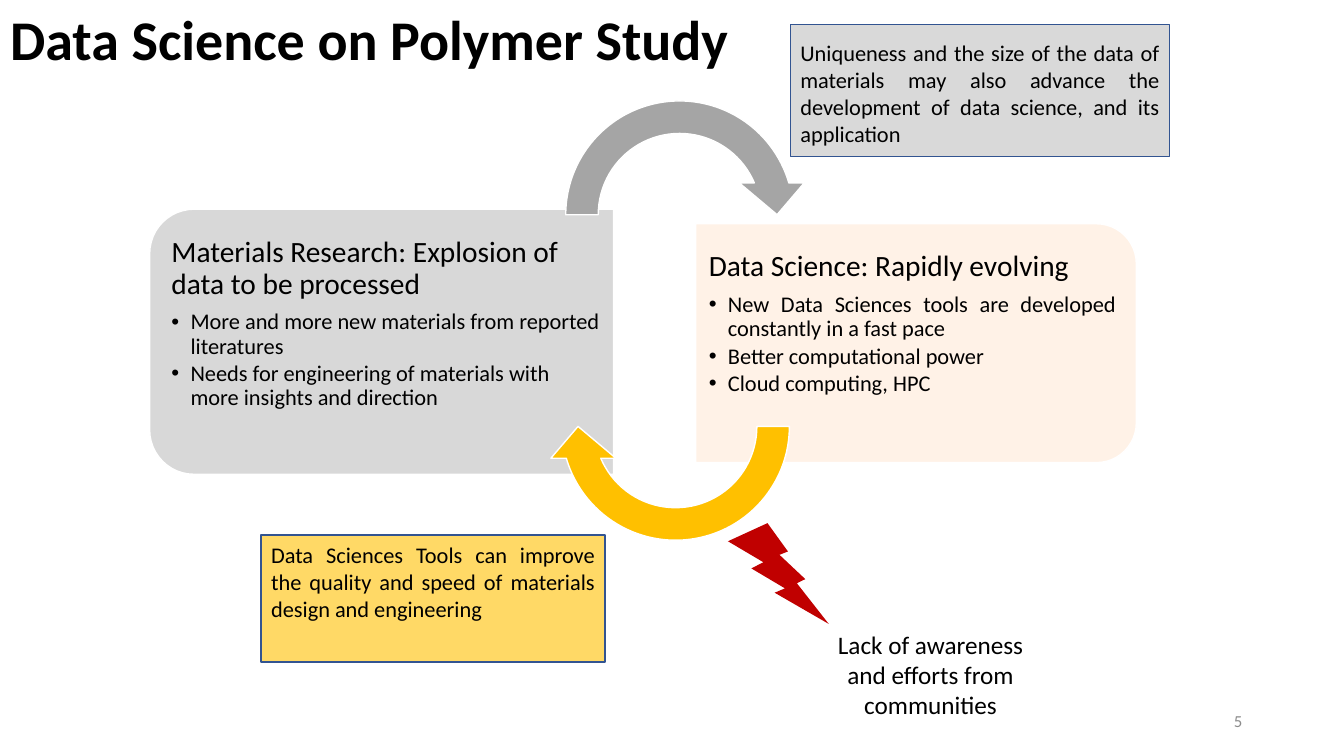
from lxml import etree
from pptx import Presentation
from pptx.dml.color import RGBColor
from pptx.enum.shapes import MSO_SHAPE
from pptx.enum.text import MSO_ANCHOR, MSO_AUTO_SIZE, PP_ALIGN
from pptx.oxml.ns import qn
from pptx.util import Inches, Pt

LEFT, CENTER, RIGHT = PP_ALIGN.LEFT, PP_ALIGN.CENTER, PP_ALIGN.RIGHT
JUSTIFY = PP_ALIGN.JUSTIFY
TOP, MIDDLE = MSO_ANCHOR.TOP, MSO_ANCHOR.MIDDLE
FIXED_SIZE = MSO_AUTO_SIZE.NONE
RECTANGLE = MSO_SHAPE.RECTANGLE
PANEL = MSO_SHAPE.ROUND_2_SAME_RECTANGLE
CIRCULAR_ARROW = MSO_SHAPE.CIRCULAR_ARROW
BOLT = MSO_SHAPE.LIGHTNING_BOLT

FONT = "Calibri"
TWO_CONTENT_LAYOUT = 3
COLORS = {
    "black": "000000", "white": "FFFFFF", "number": "8C8C8C",
    "materials": "D8D8D8", "data": "FFF2E7",
    "gray_arrow": "A5A5A5", "gold_arrow": "FFC000",
    "gold_box": "FFD966", "gray_box": "D9D9D9",
    "box_line": "325491", "bolt": "C00000",
}
PANEL_ADJUSTMENTS = (0.167, 0)
ARROW_ADJUSTMENTS = (0.125, 11.423, 204.577, 108, 0.125)


def color(name):
    return RGBColor.from_string(COLORS[name])


def place(shape, box):
    shape.left, shape.top, shape.width, shape.height = map(Inches, box)


def set_frame(frame, insets=(0.1, 0.05, 0.1, 0.05), anchor=TOP):
    """Fix wrapping, anchor and insets (left, top, right, bottom)."""
    frame.word_wrap = True
    frame.auto_size = FIXED_SIZE
    frame.vertical_anchor = anchor
    (frame.margin_left, frame.margin_top,
     frame.margin_right, frame.margin_bottom) = map(Inches, insets)


def write(paragraph, text, size, align=LEFT, ink="black", bold=False):
    paragraph.alignment = align
    run = paragraph.add_run()
    run.text = text
    run.font.name = FONT
    run.font.size = Pt(size)
    run.font.bold = bold
    run.font.color.rgb = color(ink)


def set_bullet(paragraph, character=None, indent=0):
    """Give the paragraph a hanging bullet, or none."""
    properties = paragraph._p.get_or_add_pPr()
    properties.set("marL", str(Inches(indent)))
    properties.set("indent", str(-Inches(indent)))
    if character:
        etree.SubElement(properties, qn("a:buChar")).set("char", character)
    else:
        etree.SubElement(properties, qn("a:buNone"))


def add_shape(slide, kind, box, fill, line=None, rotation=0, adjustments=()):
    shape = slide.shapes.add_shape(kind, *map(Inches, box))
    shape.shadow.inherit = False
    shape.rotation = rotation
    shape.fill.solid()
    shape.fill.fore_color.rgb = color(fill)
    if line:
        shape.line.color.rgb = color(line)
        shape.line.width = Pt(1)
    else:
        shape.line.fill.background()
    for index, value in enumerate(adjustments):
        shape.adjustments[index] = value
    return shape


def add_callout(slide, box, fill, top_inset, text):
    shape = add_shape(slide, RECTANGLE, box, fill, "box_line")
    set_frame(shape.text_frame, (0.1, top_inset, 0.1, 0.05))
    write(shape.text_frame.paragraphs[0], text, 16, JUSTIFY)


def add_label(slide, box, text, size, align, ink="black", anchor=TOP):
    frame = slide.shapes.add_textbox(*map(Inches, box)).text_frame
    set_frame(frame, anchor=anchor)
    write(frame.paragraphs[0], text, size, align, ink)


def fill_list(body, box, insets, align, heading, items):
    """Write a heading and its bullets into a body placeholder."""
    place(body, box)
    frame = body.text_frame
    set_frame(frame, insets)
    for index, text in enumerate([heading] + items):
        paragraph = frame.add_paragraph() if index else frame.paragraphs[0]
        size, after = (16, 2.4) if index else (21, 7.35)
        paragraph.level = 1 if index else 0
        paragraph.line_spacing = 0.9
        paragraph.space_before = Pt(0)
        paragraph.space_after = Pt(after)
        if index:
            set_bullet(paragraph, "•", 0.19)
        else:
            set_bullet(paragraph)
        write(paragraph, text, size, align)


def add_panel(slide, body, box, fill, rotation):
    """Put a panel with rounded outer corners behind its list."""
    panel = add_shape(slide, PANEL, box, fill, "white", rotation,
                      PANEL_ADJUSTMENTS)
    body.element.addprevious(panel.element)


def add_title(slide, text):
    title = slide.shapes.title
    place(title, (0, -0.04, 13.33, 0.93))
    set_frame(title.text_frame, anchor=MIDDLE)
    paragraph = title.text_frame.paragraphs[0]
    paragraph.line_spacing = 0.9
    write(paragraph, text, 40, bold=True)


def main():
    presentation = Presentation()
    presentation.slide_width = Inches(13.33)
    presentation.slide_height = Inches(7.5)
    layout = presentation.slide_layouts[TWO_CONTENT_LAYOUT]
    slide = presentation.slides.add_slide(layout)
    materials, data = slide.placeholders[1], slide.placeholders[2]

    add_title(slide, "Data Science on Polymer Study")
    add_panel(slide, materials, (2.47, 1.09, 2.63, 4.6), "materials", 270)
    fill_list(materials, (1.61, 2.2, 4.47, 2.37), (0.09, 0.15, 0.13, 0.15),
              LEFT, "Materials Research: Explosion of data to be processed",
              ["More and more new materials from reported literatures",
               "Needs for engineering of materials with more insights "
               "and direction"])
    add_panel(slide, data, (7.9, 1.22, 2.37, 4.37), "data", 90)
    fill_list(data, (6.9, 2.34, 4.26, 2.13), (0.13, 0.15, 0.09, 0.15),
              JUSTIFY, "Data Science: Rapidly evolving",
              ["New Data Sciences tools are developed constantly "
               "in a fast pace",
               "Better computational power",
               "Cloud computing, HPC"])

    add_shape(slide, CIRCULAR_ARROW, (5.45, 0.84, 2.58, 2.58), "gray_arrow",
              "white", 0, ARROW_ADJUSTMENTS)
    add_shape(slide, CIRCULAR_ARROW, (5.41, 2.94, 2.58, 2.58), "gold_arrow",
              "white", 180, ARROW_ADJUSTMENTS)
    add_callout(slide, (2.59, 5.31, 3.41, 1.26), "gold_box", 0.06,
                "Data Sciences Tools can improve the quality and speed of "
                "materials design and engineering")
    add_callout(slide, (7.84, 0.24, 3.76, 1.31), "gray_box", 0.15,
                "Uniqueness and the size of the data of materials may also "
                "advance the development of data science, and its application")
    add_shape(slide, BOLT, (7.22, 5.19, 1, 1), "bolt")
    add_label(slide, (8.18, 6.19, 2.1, 1.31),
              "Lack of awareness and efforts from communities", 18, CENTER)
    add_label(slide, (9.42, 6.95, 3, 0.4), "5", 12, RIGHT, "number", MIDDLE)
    presentation.save("out.pptx")


if __name__ == "__main__":
    main()
